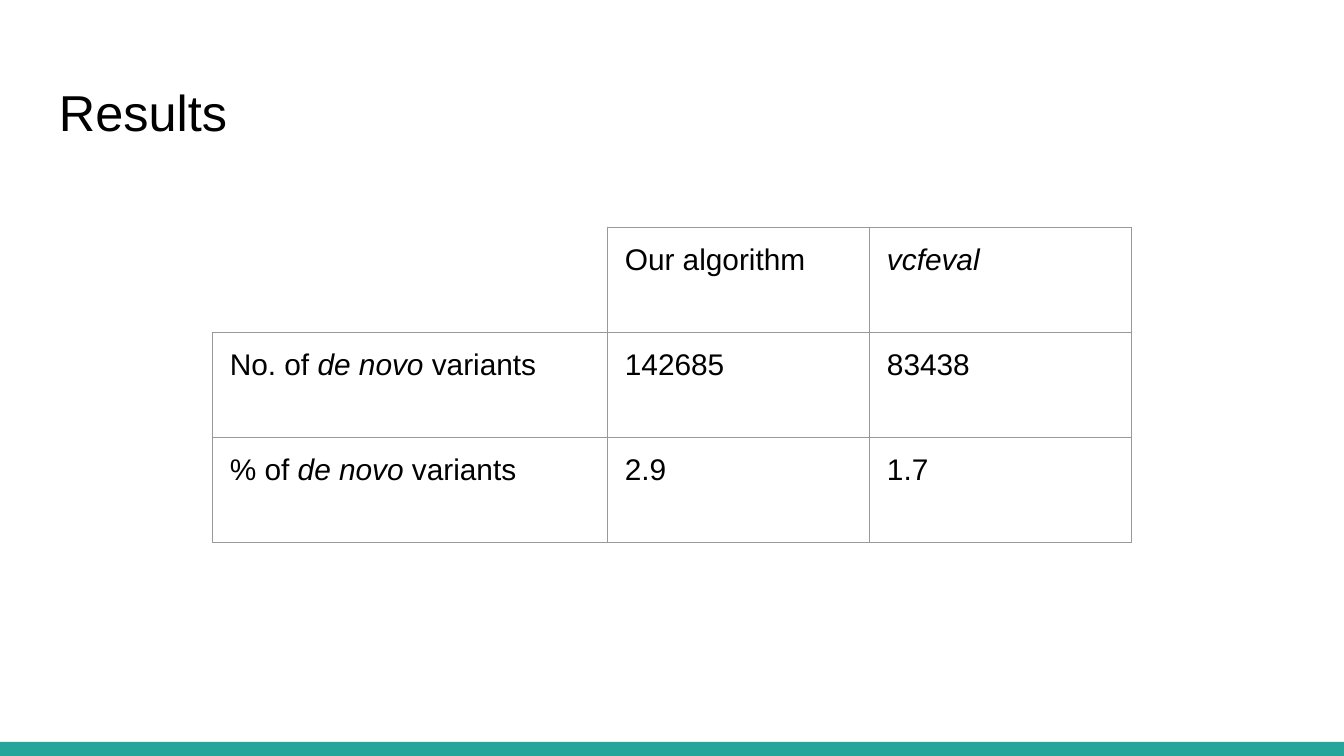
from lxml.etree import SubElement
from pptx import Presentation
from pptx.dml.color import RGBColor
from pptx.enum.shapes import MSO_SHAPE
from pptx.enum.text import MSO_ANCHOR
from pptx.oxml.ns import qn
from pptx.util import Inches, Pt

WIDTH = 10
HEIGHT = WIDTH * 9 / 16
TEAL, BLACK, WHITE, GRAY = "26A69A", "000000", "FFFFFF", "999999"
COLUMNS = [2.94, 1.95, 1.95]
ROWS = [
    [[], [("Our algorithm", False)], [("vcfeval", True)]],
    [[("No. of ", False), ("de novo", True), (" variants", False)],
     [("142685", False)], [("83438", False)]],
    [[("% of ", False), ("de novo", True), (" variants", False)],
     [("2.9", False)], [("1.7", False)]],
]


def rgb(color):
    return RGBColor.from_string(color)


def add_runs(p, runs, size):
    for text, italic in runs:
        r = p.add_run()
        r.text = text
        r.font.name = "Arial"
        r.font.size = Pt(size)
        r.font.italic = italic
        r.font.color.rgb = rgb(BLACK)


def set_border(cell, side, color):
    ln = SubElement(cell._tc.get_or_add_tcPr(), qn(f"a:ln{side}"), w=str(Pt(0.75)))
    fill = SubElement(ln, qn("a:solidFill"))
    SubElement(fill, qn("a:srgbClr"), val=color)


def add_footer_bar(s, x, y, w, h):
    bar = s.shapes.add_shape(MSO_SHAPE.RECTANGLE, Inches(x), Inches(y), Inches(w), Inches(h))
    bar.shadow.inherit = False
    bar.fill.solid()
    bar.fill.fore_color.rgb = rgb(TEAL)
    bar.line.fill.background()


def add_title(s, x, y, w, h):
    tf = s.shapes.add_textbox(Inches(x), Inches(y), Inches(w), Inches(h)).text_frame
    tf.word_wrap = True
    tf.vertical_anchor = MSO_ANCHOR.MIDDLE
    tf.margin_left = tf.margin_right = tf.margin_top = tf.margin_bottom = Inches(0.1)
    add_runs(tf.paragraphs[0], [("Results", False)], 27)


def add_results_table(s, x, y, h):
    table = s.shapes.add_table(
        len(ROWS), len(COLUMNS), Inches(x), Inches(y),
        Inches(sum(COLUMNS)), Inches(h)).table
    table.first_row = table.horz_banding = False
    for column, width in zip(table.columns, COLUMNS):
        column.width = Inches(width)
    for i, row in enumerate(ROWS):
        for j, runs in enumerate(row):
            cell = table.cell(i, j)
            cell.margin_left = cell.margin_right = Inches(0.13)
            cell.margin_top = cell.margin_bottom = Inches(0.12)
            add_runs(cell.text_frame.paragraphs[0], runs, 16)
            for side in "LRTB":
                set_border(cell, side, WHITE if not runs and side in "LT" else GRAY)
            cell.fill.background()


def main():
    prs = Presentation()
    prs.slide_width, prs.slide_height = Inches(WIDTH), Inches(HEIGHT)
    s = prs.slides.add_slide(prs.slide_layouts[6])
    s.background.fill.solid()
    s.background.fill.fore_color.rgb = rgb(WHITE)
    add_footer_bar(s, 0, 5.52, WIDTH, 0.11)
    add_title(s, 0.34, 0.49, 9.32, 0.67)
    add_results_table(s, 1.58, 1.69, 2.35)
    prs.save("out.pptx")


if __name__ == "__main__":
    main()
